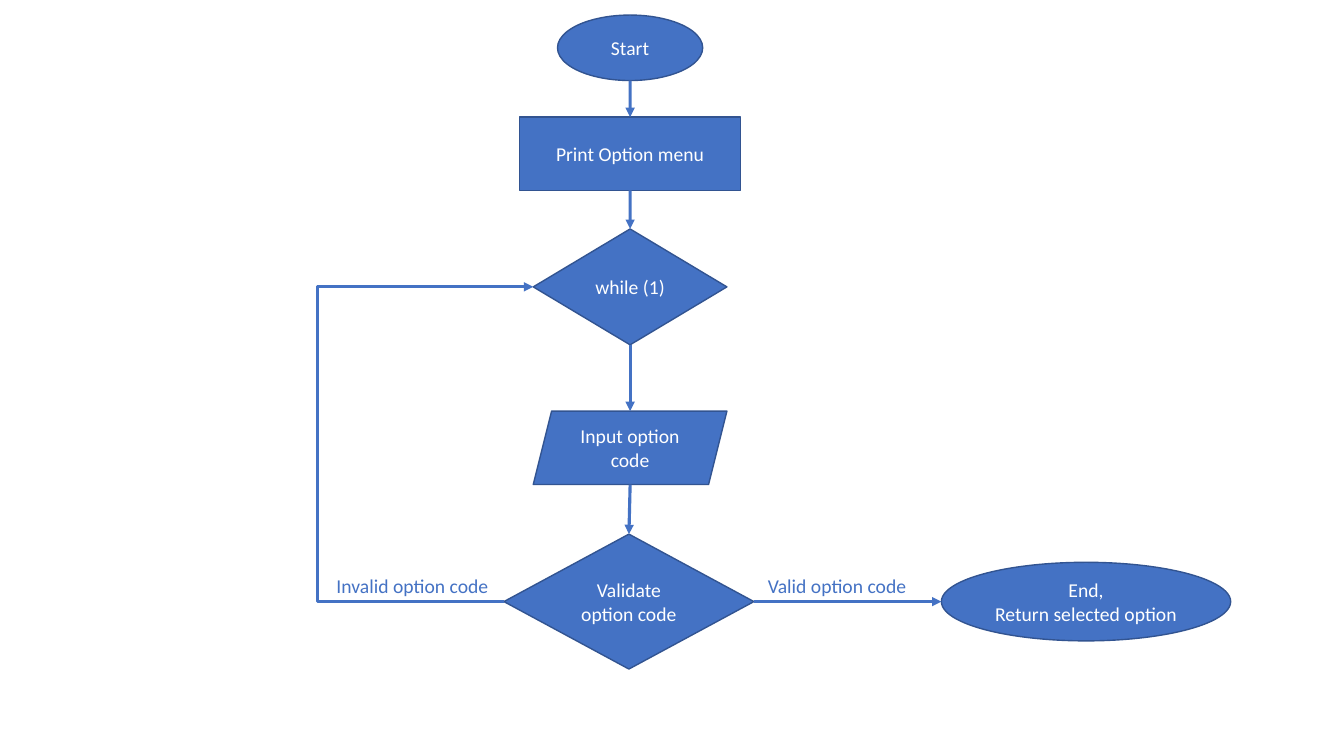
from lxml.etree import SubElement
from pptx import Presentation
from pptx.dml.color import RGBColor
from pptx.enum.shapes import MSO_CONNECTOR, MSO_SHAPE
from pptx.enum.text import MSO_ANCHOR, MSO_AUTO_SIZE, PP_ALIGN
from pptx.oxml.ns import qn
from pptx.util import Cm, Pt

BLUE = "4472C4"
EDGE = "325491"
WHITE = "FFFFFF"
TOP, LEFT, BOTTOM, RIGHT = range(4)


def color(target, code):
    target.rgb = RGBColor.from_string(code)


def write(frame, text, code, align):
    frame.text = text
    for para in frame.paragraphs:
        para.alignment = align
        for run in para.runs:
            run.font.name = "Calibri"
            run.font.size = Pt(14)
            color(run.font.color, code)


def node(slide, kind, text, center, top, width, height):
    shape = slide.shapes.add_shape(
        kind, Cm(center - width / 2), Cm(top), Cm(width), Cm(height))
    shape.shadow.inherit = False
    shape.fill.solid()
    color(shape.fill.fore_color, BLUE)
    color(shape.line.color, EDGE)
    shape.line.width = Pt(1)
    shape.text_frame.word_wrap = True
    shape.text_frame.vertical_anchor = MSO_ANCHOR.MIDDLE
    write(shape.text_frame, text, WHITE, PP_ALIGN.CENTER)
    return shape


def label(slide, text, left, top, width):
    box = slide.shapes.add_textbox(Cm(left), Cm(top), Cm(width), Cm(0.86))
    box.text_frame.word_wrap = False
    box.text_frame.auto_size = MSO_AUTO_SIZE.SHAPE_TO_FIT_TEXT
    write(box.text_frame, text, BLUE, PP_ALIGN.LEFT)


def side(shape, site):
    x = {LEFT: 0, RIGHT: shape.width}.get(site, shape.width // 2)
    y = {TOP: 0, BOTTOM: shape.height}.get(site, shape.height // 2)
    return shape.left + x, shape.top + y


def joins(shape, site):
    kind = shape.auto_shape_type
    return kind in (MSO_SHAPE.RECTANGLE, MSO_SHAPE.DIAMOND) or (
        kind == MSO_SHAPE.OVAL and site == TOP)


def arrow(slide, kind, start, out, end, into):
    link = slide.shapes.add_connector(kind, *side(start, out), *side(end, into))
    color(link.line.color, BLUE)
    link.line.width = Pt(2.25)
    props = link._element.spPr
    SubElement(props.find(qn("a:ln")), qn("a:tailEnd"), type="triangle")
    SubElement(props, qn("a:effectLst"))
    return link


def flow(slide, start, out, end, into):
    link = arrow(slide, MSO_CONNECTOR.STRAIGHT, start, out, end, into)
    if joins(start, out):
        link.begin_connect(start, out)
    if joins(end, into):
        link.end_connect(end, into)


def loop(slide, start, end, turn):
    link = arrow(slide, MSO_CONNECTOR.ELBOW, start, LEFT, end, LEFT)
    ratio = (Cm(turn) - link.begin_x) / (link.end_x - link.begin_x)
    guides = link._element.spPr.find(qn("a:prstGeom")).get_or_add_avLst()
    SubElement(guides, qn("a:gd"), name="adj1",
               fmla=f"val {round(ratio * 100000)}")


def main():
    deck = Presentation()
    deck.slide_width, deck.slide_height = Cm(33.87), Cm(19.05)
    slide = deck.slides.add_slide(deck.slide_layouts[6])

    mid = 15.88
    start = node(slide, MSO_SHAPE.OVAL, "Start", mid, 0.38, 3.66, 1.65)
    menu = node(slide, MSO_SHAPE.RECTANGLE, "Print Option menu",
                mid, 2.95, 5.56, 1.85)
    cycle = node(slide, MSO_SHAPE.DIAMOND, "while (1)", mid, 5.77, 4.88, 2.92)
    entry = node(slide, MSO_SHAPE.PARALLELOGRAM, "Input option code",
                 mid, 10.36, 4.88, 1.85)
    check = node(slide, MSO_SHAPE.DIAMOND, "Validate option code",
                 15.85, 13.46, 6.3, 3.4)
    finish = node(slide, MSO_SHAPE.OVAL, "End,\nReturn selected option",
                  27.37, 14.17, 7.29, 1.98)

    steps = [start, menu, cycle, entry, check]
    for upper, lower in zip(steps, steps[1:]):
        flow(slide, upper, BOTTOM, lower, TOP)
    flow(slide, check, RIGHT, finish, LEFT)
    loop(slide, check, cycle, 8.0)

    label(slide, "Invalid option code", 8.23, 14.33, 4.39)
    label(slide, "Valid option code", 19.1, 14.33, 4.04)
    deck.save("out.pptx")


if __name__ == "__main__":
    main()
